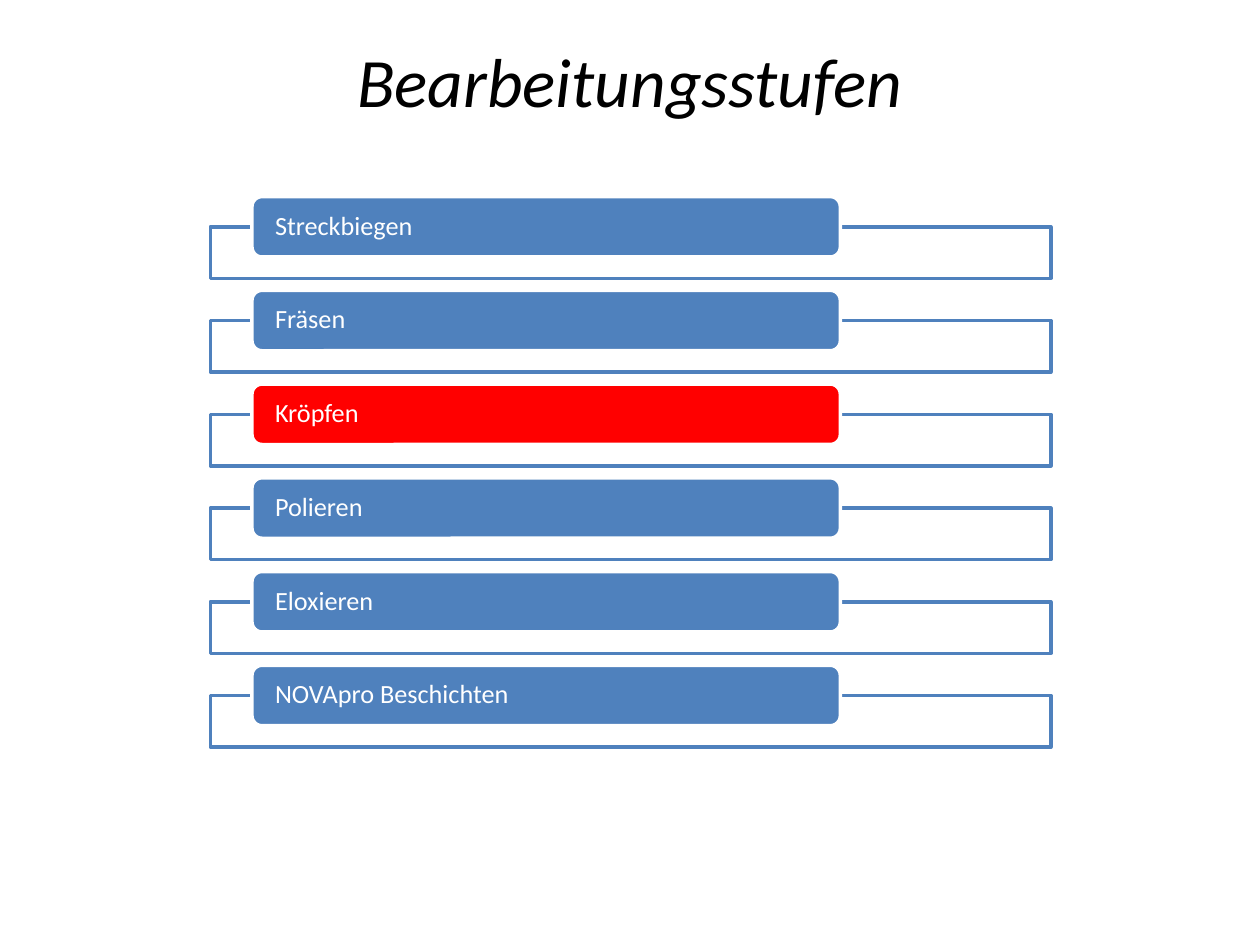
from pptx import Presentation
from pptx.dml.color import RGBColor
from pptx.enum.shapes import MSO_SHAPE
from pptx.enum.text import MSO_ANCHOR, PP_ALIGN
from pptx.util import Inches, Pt

COLORS = {"blue": "4F81BD", "red": "FF0000", "white": "FFFFFF", "black": "000000"}
FONT = "Calibri"

STEPS = ["Streckbiegen", "Fräsen", "Kröpfen", "Polieren", "Eloxieren",
         "NOVApro Beschichten"]
HIGHLIGHTED_STEP = "Kröpfen"

# Vertical grid of the steps, in inches
FIRST_TOP, LAST_TOP = 1.56, 5.28
STEP_PITCH = (LAST_TOP - FIRST_TOP) / (len(STEPS) - 1)
FRAME_OFFSET = 0.24


def color(name):
    return RGBColor.from_string(COLORS[name])


def write_text(shape, text, *, size, font_color, align=PP_ALIGN.LEFT, italic=False,
               anchor=MSO_ANCHOR.MIDDLE, side_inset=0.1, line_spacing=1.0):
    frame = shape.text_frame
    frame.word_wrap = True
    frame.vertical_anchor = anchor
    frame.margin_left = frame.margin_right = Inches(side_inset)
    frame.margin_top = frame.margin_bottom = 0
    paragraph = frame.paragraphs[0]
    paragraph.alignment = align
    paragraph.line_spacing = line_spacing
    run = paragraph.add_run()
    run.text = text
    run.font.name = FONT
    run.font.size = Pt(size)
    run.font.italic = italic
    run.font.color.rgb = color(font_color)


def add_box(slide, kind, left, top, width, height, fill, line):
    shape = slide.shapes.add_shape(
        kind, Inches(left), Inches(top), Inches(width), Inches(height))
    shape.shadow.inherit = False
    shape.fill.solid()
    shape.fill.fore_color.rgb = color(fill)
    shape.line.color.rgb = color(line)
    shape.line.width = Pt(2)
    return shape


def add_title(slide, text):
    title = slide.shapes.title
    title.left, title.top = Inches(0.5), Inches(0.3)
    title.width, title.height = Inches(9), Inches(1.25)
    write_text(title, text, size=39.6, font_color="black", italic=True,
               align=PP_ALIGN.CENTER, anchor=MSO_ANCHOR.TOP)


def add_step(slide, text, top):
    # Outlined frame behind, filled label on its upper edge
    add_box(slide, MSO_SHAPE.RECTANGLE, 1.67, top + FRAME_OFFSET, 6.67, 0.41,
            "white", "blue")
    fill = "red" if text == HIGHLIGHTED_STEP else "blue"
    label = add_box(slide, MSO_SHAPE.ROUNDED_RECTANGLE, 2, top, 4.67, 0.48,
                    fill, "white")
    write_text(label, text, size=15, font_color="white", side_inset=0.16,
               line_spacing=0.9)


def main():
    presentation = Presentation()
    presentation.slide_width, presentation.slide_height = Inches(10), Inches(7.5)
    slide = presentation.slides.add_slide(presentation.slide_layouts[5])

    add_title(slide, "Bearbeitungsstufen")
    for index, step in enumerate(STEPS):
        add_step(slide, step, FIRST_TOP + index * STEP_PITCH)

    presentation.save("out.pptx")


if __name__ == "__main__":
    main()
